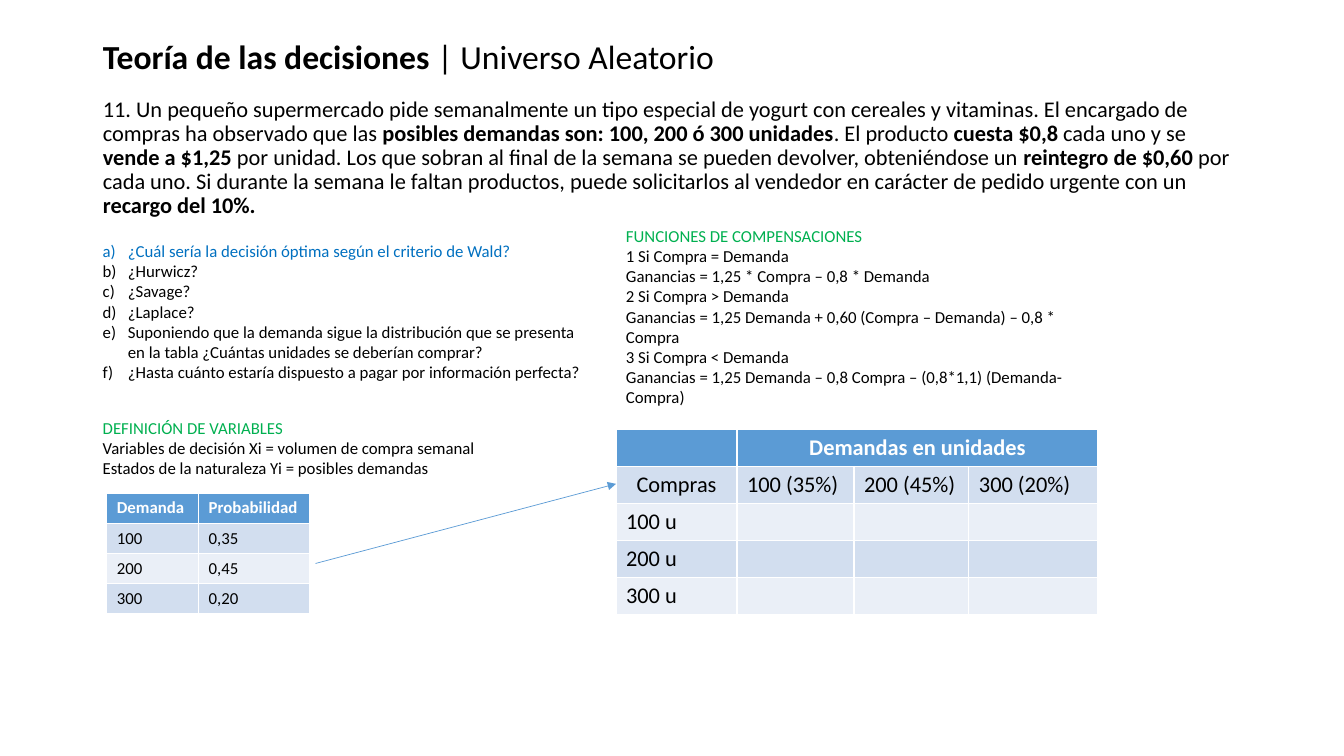
from lxml import etree
from pptx import Presentation
from pptx.dml.color import RGBColor
from pptx.enum.shapes import MSO_CONNECTOR
from pptx.enum.text import MSO_ANCHOR, MSO_AUTO_SIZE, PP_ALIGN
from pptx.oxml.ns import qn
from pptx.util import Inches, Pt

STRAIGHT = MSO_CONNECTOR.STRAIGHT
TOP, MIDDLE = MSO_ANCHOR.TOP, MSO_ANCHOR.MIDDLE
FIXED, GROW = MSO_AUTO_SIZE.NONE, MSO_AUTO_SIZE.SHAPE_TO_FIT_TEXT
LEFT, CENTER = PP_ALIGN.LEFT, PP_ALIGN.CENTER

FONT = "Calibri"
BLACK, WHITE, BLUE = "000000", "FFFFFF", "5B9BD5"
QUESTION_BLUE, HEADING_GREEN = "0070C0", "00B050"
BANDS = ("D2DEEF", "EAEFF7")

TITLE = [("Teoría de las decisiones ", True), ("| Universo Aleatorio", False)]
PROBLEM = [
    ("11. Un pequeño supermercado pide semanalmente un tipo especial de yogurt con cereales y vitaminas. "
     "El encargado de compras ha observado que las ", False),
    ("posibles demandas son: 100, 200 ó 300 unidades", True),
    (". El producto ", False),
    ("cuesta $0,8", True),
    (" cada uno y se ", False),
    ("vende a $1,25 ", True),
    ("por unidad. Los que sobran al final de la semana se pueden devolver, obteniéndose un ", False),
    ("reintegro de $0,60 ", True),
    ("por cada uno. Si durante la semana le faltan productos, puede solicitarlos al vendedor "
     "en carácter de pedido urgente con un ", False),
    ("recargo del 10%.", True),
]
QUESTIONS = [
    "¿Cuál sería la decisión óptima según el criterio de Wald?",
    "¿Hurwicz?",
    "¿Savage?",
    "¿Laplace?",
    "Suponiendo que la demanda sigue la distribución que se presenta en la tabla "
    "¿Cuántas unidades se deberían comprar?",
    "¿Hasta cuánto estaría dispuesto a pagar por información perfecta?",
]
VARIABLES = [
    "DEFINICIÓN DE VARIABLES",
    "Variables de decisión Xi = volumen de compra semanal",
    "Estados de la naturaleza Yi = posibles demandas",
]
FUNCTIONS = [
    "FUNCIONES DE COMPENSACIONES",
    "1 Si Compra = Demanda",
    "Ganancias = 1,25 * Compra – 0,8 * Demanda",
    "2 Si Compra > Demanda",
    "Ganancias = 1,25 Demanda + 0,60 (Compra – Demanda) – 0,8 * Compra",
    "3 Si Compra < Demanda",
    "Ganancias = 1,25 Demanda – 0,8 Compra – (0,8*1,1) (Demanda- Compra)",
]
PROBABILITIES = [("Demanda", "Probabilidad"), ("100", "0,35"), ("200", "0,45"), ("300", "0,20")]
PAYOFFS = [
    ("", "Demandas en unidades", "", ""),
    ("Compras", "100 (35%)", "200 (45%)", "300 (20%)"),
    ("100 u", "", "", ""),
    ("200 u", "", "", ""),
    ("300 u", "", "", ""),
]


def rgb(value):
    return RGBColor.from_string(value)


def style(span, size, color=BLACK, bold=False):
    span.font.name = FONT
    span.font.size = Pt(size)
    span.font.bold = bold
    span.font.color.rgb = rgb(color)


def fill_placeholder(holder, box, spans, size, anchor, space_before=0):
    holder.left, holder.top, holder.width, holder.height = map(Inches, box)
    frame = holder.text_frame
    frame.word_wrap = True
    frame.auto_size = FIXED
    frame.vertical_anchor = anchor
    para = frame.paragraphs[0]
    para.alignment = LEFT
    para.line_spacing = 0.9
    para.space_before = Pt(space_before)
    properties = para._p.get_or_add_pPr()
    properties.set("marL", "0")
    properties.set("indent", "0")
    etree.SubElement(properties, qn("a:buNone"))
    for text, bold in spans:
        span = para.add_run()
        span.text = text
        style(span, size, bold=bold)


def add_text_block(page, box, lines, first_color, lettered=False):
    frame = page.shapes.add_textbox(*map(Inches, box)).text_frame
    frame.word_wrap = True
    frame.auto_size = GROW
    frame.text = "\n".join(lines)
    for index, para in enumerate(frame.paragraphs):
        style(para.runs[0], 12, BLACK if index else first_color)
        if lettered:
            properties = para._p.get_or_add_pPr()
            properties.set("marL", str(Inches(0.25)))
            properties.set("indent", str(Inches(-0.25)))
            etree.SubElement(properties, qn("a:buAutoNum"), type="alphaLcParenR")


def add_grid(page, box, widths, rows, size):
    table = page.shapes.add_table(len(rows), len(widths), *map(Inches, box)).table
    for column, width in zip(table.columns, widths):
        column.width = Inches(width)
    for row_index, texts in enumerate(rows):
        table.rows[row_index].height = Inches(box[3] / len(rows))
        header = row_index == 0
        for column_index, text in enumerate(texts):
            cell = table.cell(row_index, column_index)
            cell.fill.solid()
            cell.fill.fore_color.rgb = rgb(BLUE if header else BANDS[(row_index - 1) % 2])
            cell.text = text
            para = cell.text_frame.paragraphs[0]
            for span in para.runs:
                style(span, size, WHITE if header else BLACK, header)
            if not text:
                etree.SubElement(para._p, qn("a:endParaRPr"), sz=str(size * 100))
    return table


def add_payoff_table(page, box):
    table = add_grid(page, box, (1.2, 1.16, 1.14, 1.28), PAYOFFS, 16)
    table.cell(0, 1).merge(table.cell(0, 3))
    for cell in (table.cell(0, 1), table.cell(1, 0)):
        cell.text_frame.paragraphs[0].alignment = CENTER


def add_arrow(page, start, end):
    arrow = page.shapes.add_connector(STRAIGHT, *map(Inches, start + end))
    arrow.line.color.rgb = rgb(BLUE)
    arrow.line.width = Pt(0.5)
    etree.SubElement(arrow.line._get_or_add_ln(), qn("a:tailEnd"), type="triangle")
    etree.SubElement(arrow._element.spPr, qn("a:effectLst"))


def build_exercise(deck):
    page = deck.slides.add_slide(deck.slide_layouts[1])
    left, right, block_width = 0.92, 6.11, 4.98
    fill_placeholder(page.shapes.title, (left, 0.26, 11.5, 0.65), TITLE, 24, MIDDLE)
    fill_placeholder(page.placeholders[1], (left, 0.92, 11.5, 1.27), PROBLEM, 16, TOP, 10)
    add_text_block(page, (left, 2.34, block_width, 1.51), QUESTIONS, QUESTION_BLUE, lettered=True)
    add_text_block(page, (left, 4.09, block_width, 0.71), VARIABLES, HEADING_GREEN)
    add_text_block(page, (right, 2.19, block_width, 1.92), FUNCTIONS, HEADING_GREEN)
    add_payoff_table(page, (right, 4.26, 4.78, 1.83))
    add_grid(page, (1.06, 4.89, 2.01, 1.2), (0.91, 1.1), PROBABILITIES, 12)
    add_arrow(page, (3.13, 5.59), (right, 4.8))


def main():
    deck = Presentation()
    deck.slide_width, deck.slide_height = Inches(13.33), Inches(7.5)
    build_exercise(deck)
    deck.save("out.pptx")


if __name__ == "__main__":
    main()
